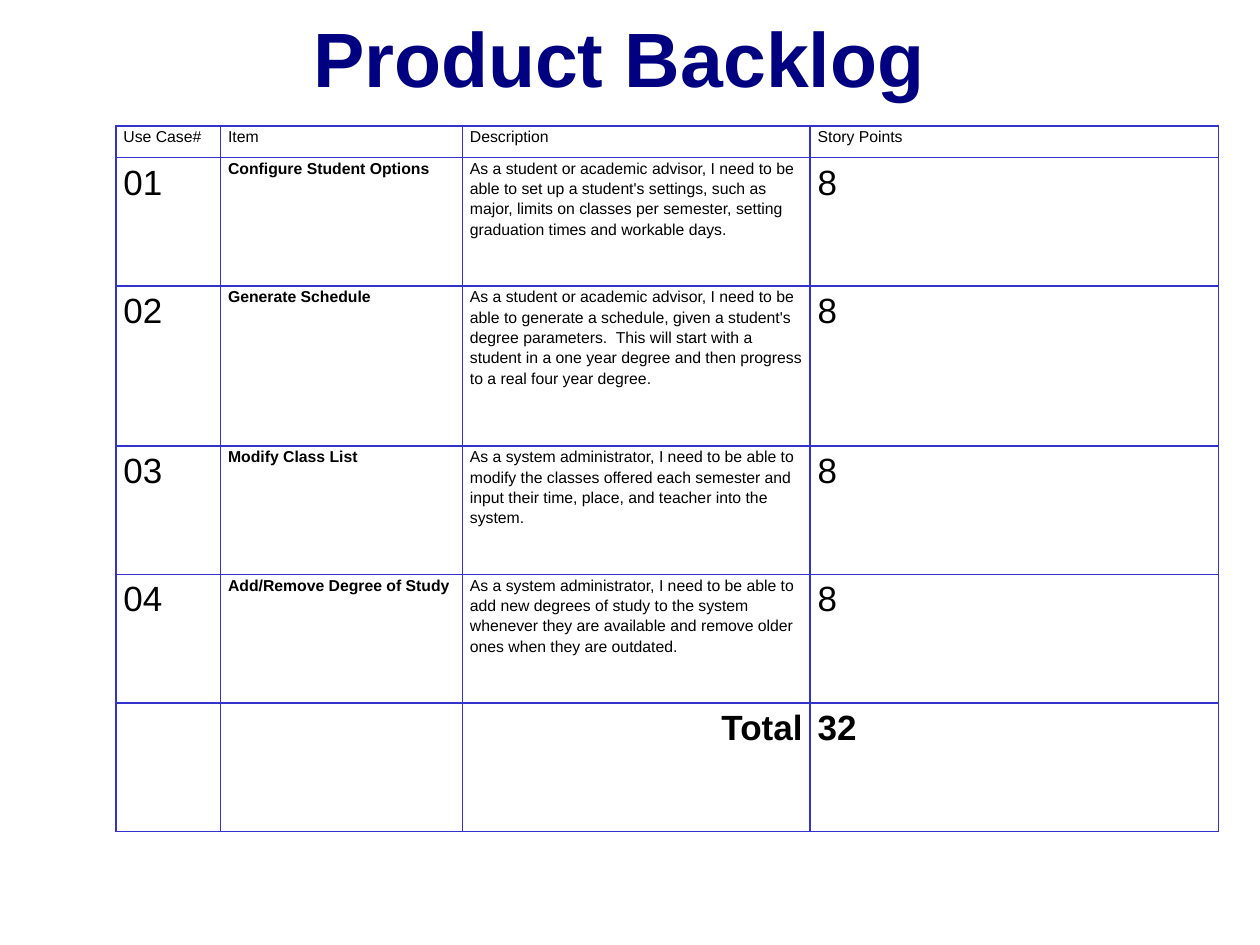
from lxml import etree
from pptx import Presentation
from pptx.dml.color import RGBColor
from pptx.enum.text import MSO_ANCHOR, PP_ALIGN
from pptx.oxml.ns import qn
from pptx.util import Inches, Pt

NAVY = RGBColor(0x00, 0x00, 0x80)
BLUE = RGBColor(0x33, 0x33, 0xCC)
BLACK = RGBColor(0x00, 0x00, 0x00)
LEFT, RIGHT, CENTER = PP_ALIGN.LEFT, PP_ALIGN.RIGHT, PP_ALIGN.CENTER
MIDDLE = MSO_ANCHOR.MIDDLE
FONT = "Arial"
SMALL, LARGE = 9, 20

TITLE = "Product Backlog "
HEAD = ("Use Case#", "Item", "Description", "Story Points")
ITEMS = [
    ("01", "Configure Student Options",
     "As a student or academic advisor, I need to be able to set up a student's "
     "settings, such as major, limits on classes per semester, setting "
     "graduation times and workable days.", "8"),
    ("02", "Generate Schedule",
     "As a student or academic advisor, I need to be able to generate a schedule, "
     "given a student's degree parameters.  This will start with a student in a "
     "one year degree and then progress to a real four year degree.", "8"),
    ("03", "Modify Class List",
     "As a system administrator, I need to be able to modify the classes offered "
     "each semester and input their time, place, and teacher into the system.", "8"),
    ("04", "Add/Remove Degree of Study",
     "As a system administrator, I need to be able to add new degrees of study to "
     "the system whenever they are available and remove older ones when they are "
     "outdated.", "8"),
]
TOTAL = ("", "", "Total", "32")
ROWS = [HEAD, *ITEMS, TOTAL]

WIDTHS = (0.83, 1.92, 2.76, 3.24)
HEIGHTS = (0.25, 1.02, 1.27, 1.02, 1.02, 1.02)

# Size, bold and alignment of each column
HEAD_LOOK = [(SMALL, False, LEFT)] * 4
ITEM_LOOK = [(LARGE, False, LEFT), (SMALL, True, LEFT),
             (SMALL, False, LEFT), (LARGE, False, LEFT)]
TOTAL_LOOK = [(LARGE, True, LEFT)] * 2 + [(LARGE, True, RIGHT), (LARGE, True, LEFT)]
LOOKS = [HEAD_LOOK] + [ITEM_LOOK] * len(ITEMS) + [TOTAL_LOOK]


def style(par, size, bold, align, color):
    par.alignment = align
    par.font.name = FONT
    par.font.size = Pt(size)
    par.font.bold = bold
    par.font.color.rgb = color


def add_borders(cell):
    props = cell._tc.get_or_add_tcPr()
    for i, side in enumerate(("lnL", "lnR", "lnT", "lnB")):
        line = etree.Element(qn("a:" + side), w=str(Pt(1)))
        fill = etree.SubElement(line, qn("a:solidFill"))
        etree.SubElement(fill, qn("a:srgbClr"), val=str(BLUE))
        props.insert(i, line)


def fill_cell(cell, text, look):
    cell.margin_left = cell.margin_right = Inches(0.06)
    cell.margin_top = cell.margin_bottom = 0
    cell.fill.background()
    add_borders(cell)
    cell.text = text
    par = cell.text_frame.paragraphs[0]
    par.line_spacing = 1.15
    style(par, *look, BLACK)


def add_title(slide):
    title = slide.shapes.title
    title.left, title.top = Inches(0.5), Inches(0.03)
    title.width, title.height = Inches(9), Inches(0.84)
    frame = title.text_frame
    frame.text = TITLE
    frame.vertical_anchor = MIDDLE
    style(frame.paragraphs[0], 44, True, CENTER, NAVY)


def add_backlog(slide):
    table = slide.shapes.add_table(
        len(ROWS), len(HEAD), Inches(0.92), Inches(1),
        Inches(sum(WIDTHS)), Inches(sum(HEIGHTS))).table
    table.first_row = table.horz_banding = False
    for col, width in zip(table.columns, WIDTHS):
        col.width = Inches(width)
    for row, height, texts, looks in zip(table.rows, HEIGHTS, ROWS, LOOKS):
        row.height = Inches(height)
        for cell, text, look in zip(row.cells, texts, looks):
            fill_cell(cell, text, look)


def main():
    deck = Presentation()
    deck.slide_width, deck.slide_height = Inches(10), Inches(7.5)
    slide = deck.slides.add_slide(deck.slide_layouts.get_by_name("Title Only"))
    add_title(slide)
    add_backlog(slide)
    deck.save("out.pptx")


if __name__ == "__main__":
    main()
